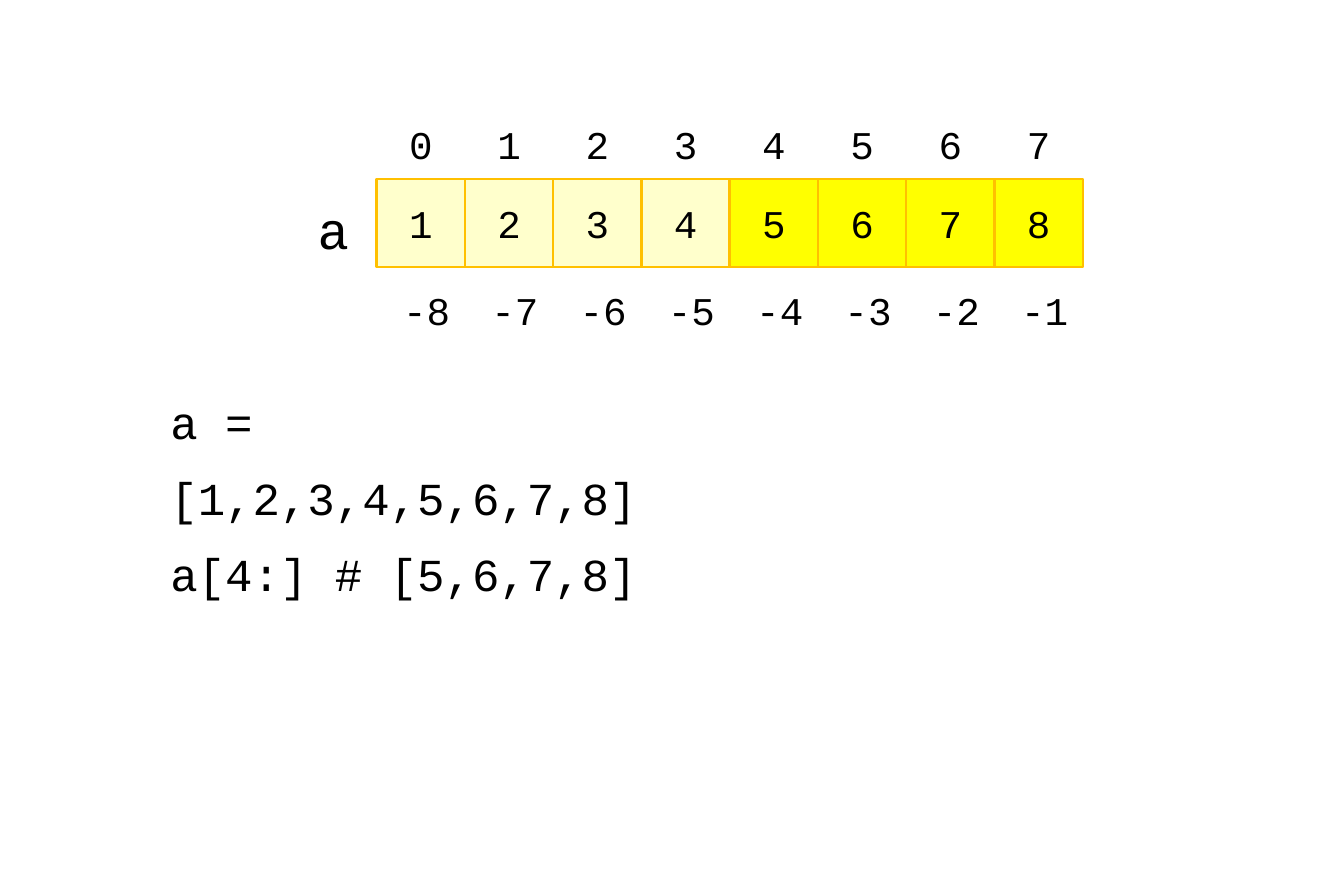
import pptx
import pptx.util
import pptx.dml.color
import pptx.enum.shapes
import pptx.enum.text

Pt = pptx.util.Pt
RGB = pptx.dml.color.RGBColor
ALIGN = pptx.enum.text.PP_ALIGN
MIDDLE = pptx.enum.text.MSO_ANCHOR.MIDDLE
RECT = pptx.enum.shapes.MSO_SHAPE.RECTANGLE

# Content
NAME = "a"
VALUES = [1, 2, 3, 4, 5, 6, 7, 8]
START = 4  # first index in the slice
CODE = ["a = [1,2,3,4,5,6,7,8]", "a[4:] # [5,6,7,8]"]

# Style
FONT = "Courier New"
BLACK = RGB(0, 0, 0)
PALE = RGB(0xFF, 0xFF, 0xCC)
YELLOW = RGB(0xFF, 0xFF, 0)
ORANGE = RGB(0xFF, 0xC0, 0)
SPACING = 1.39

# Layout in points
SIDE = 54
LEFT = 230.4
INDEX_TOP, CELL_TOP, BACK_TOP = 61.2, 109.4, 162.7
BACK_SHIFT = 3.6

deck = pptx.Presentation()
deck.slide_width, deck.slide_height = Pt(822.2), Pt(540)
slide = deck.slides.add_slide(deck.slide_layouts[6])


def write(shape, lines, size, align, spacing=None):
    frame = shape.text_frame
    frame.text = "\n".join(lines)
    for para in frame.paragraphs:
        para.alignment = align
        if spacing:
            para.line_spacing = spacing
        for run in para.runs:
            run.font.name = FONT
            run.font.size = Pt(size)
            run.font.color.rgb = BLACK


def add_text(x, y, w, h):
    return slide.shapes.add_textbox(Pt(x), Pt(y), Pt(w), Pt(h))


def center(shape, text):
    shape.text_frame.word_wrap = True
    shape.text_frame.vertical_anchor = MIDDLE
    write(shape, [text], 24, ALIGN.CENTER)


# Array cells with indexes above and negative indexes below
for i, value in enumerate(VALUES):
    x = LEFT + i * SIDE
    cell = slide.shapes.add_shape(RECT, Pt(x), Pt(CELL_TOP), Pt(SIDE), Pt(SIDE))
    cell.shadow.inherit = False
    cell.fill.solid()
    cell.fill.fore_color.rgb = YELLOW if i >= START else PALE
    cell.line.color.rgb = ORANGE
    cell.line.width = Pt(1.5)
    center(cell, str(value))
    center(add_text(x, INDEX_TOP, SIDE, SIDE), str(i))
    center(add_text(x + BACK_SHIFT, BACK_TOP, SIDE, SIDE), str(i - len(VALUES)))

# Array name
label = add_text(187.2, 102.2, 32.4, 53.3)
label.text_frame.word_wrap = False
write(label, [NAME], 32, ALIGN.LEFT, SPACING)

# Code lines
code = add_text(97.2, 223.9, 340.6, 91.4)
code.text_frame.word_wrap = True
write(code, CODE, 28, ALIGN.LEFT, SPACING)

deck.save("out.pptx")
